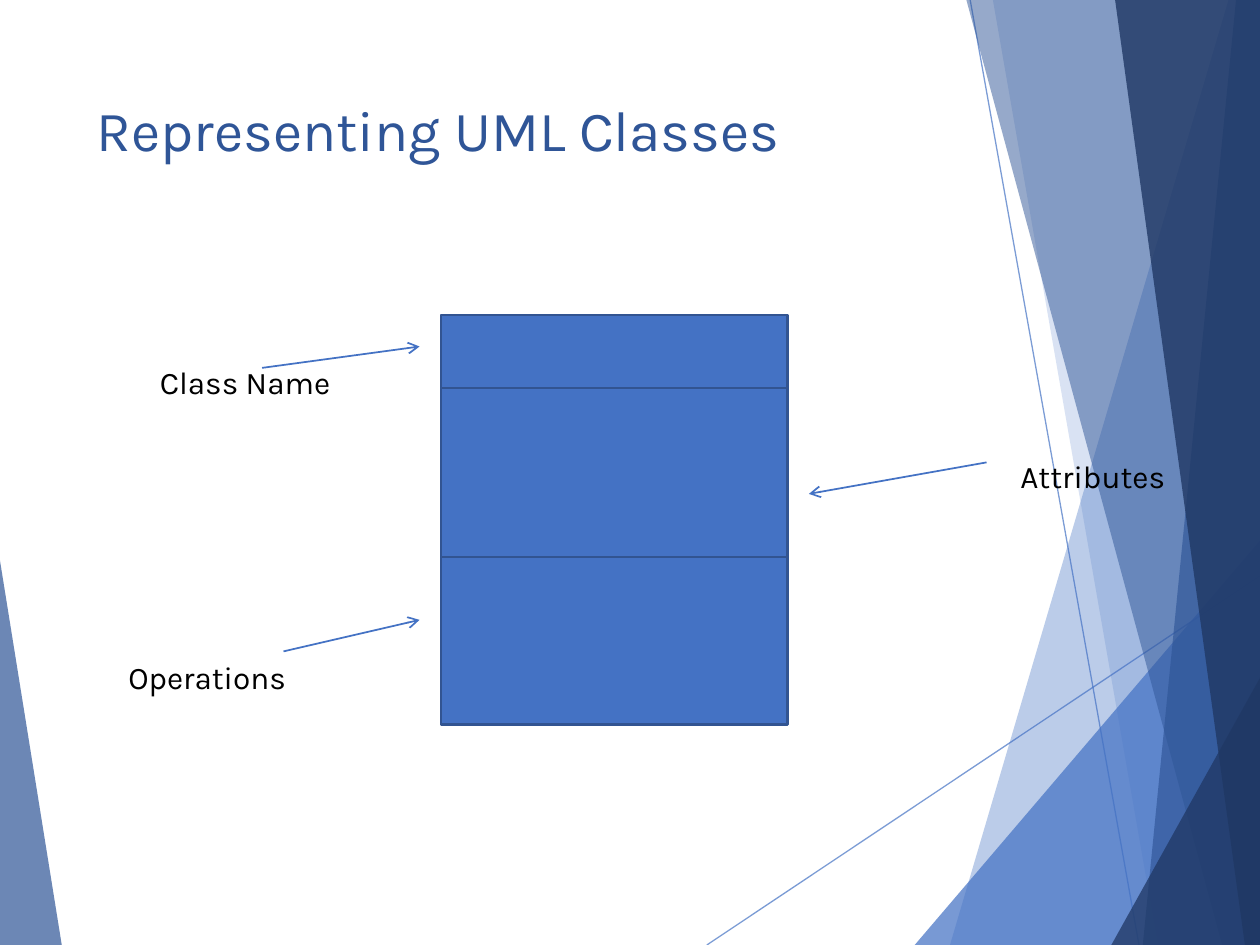
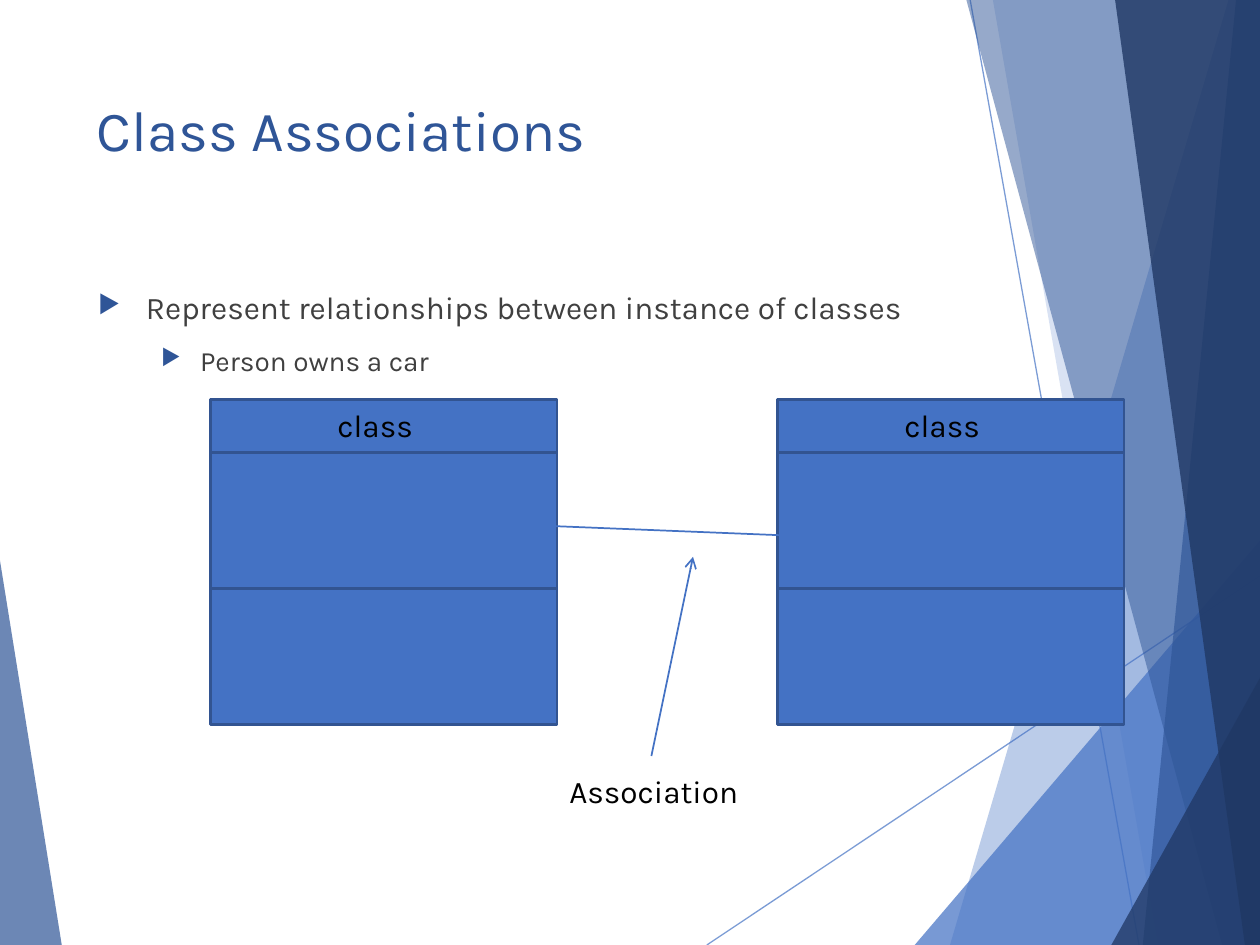
from lxml import etree
from pptx import Presentation
from pptx.dml.color import RGBColor
from pptx.enum.shapes import MSO_CONNECTOR, MSO_SHAPE
from pptx.enum.text import MSO_ANCHOR
from pptx.oxml.ns import qn
from pptx.util import Inches, Pt

STRAIGHT = MSO_CONNECTOR.STRAIGHT
RECTANGLE = MSO_SHAPE.RECTANGLE
TOP = MSO_ANCHOR.TOP

FONT = "Karla"
COLORS = {
    "blue": "4472C4",
    "dark": "2F5597",
    "navy": "203864",
    "outline": "325491",
    "body": "404040",
    "label": "000000",
}
FORMATS = {
    "title": {"size": Pt(32.4), "name": FONT},
    "label": {"size": Pt(18), "name": FONT},
    "bullet": {"size": Pt(18), "name": FONT},
    "subbullet": {"size": Pt(16), "name": FONT},
}
BULLET_INDENTS = [(0.38, -0.38), (0.81, -0.31)]
BAND_LINES = [((5.61, 7.5), (10, 4.57)), ((7.7, 0), (9.04, 7.5))]
BANDS = [
    ("blue", 36, [(9.75, 0), (7.54, 7.5), (10, 7.5), (10, 0)]),
    ("blue", 20, [(7.88, 0), (9.19, 7.5), (10, 7.5), (10, 0)]),
    ("blue", 72, [(7.26, 7.5), (10, 4.29), (10, 7.5)]),
    ("dark", 50, [(7.67, 0), (9.7, 7.5), (10, 7.5), (10, 0)]),
    ("dark", 66, [(9.81, 0), (9.07, 7.5), (10, 7.5), (10, 0)]),
    ("navy", 80, [(8.85, 0), (9.88, 7.5), (10, 7.5), (10, 0)]),
    ("navy", 76, [(8.82, 7.5), (10, 5.38), (10, 7.5)]),
    ("dark", 70, [(0, 4.45), (0.49, 7.5), (0, 7.5)]),
]
CLASS_WIDTH = 2.75


def rgb(color):
    return RGBColor.from_string(COLORS[color])


def set_alpha(sp, percent):
    clr = next(sp._element.spPr.iter(qn("a:srgbClr")))
    etree.SubElement(clr, qn("a:alpha"), val=str(percent * 1000))


def add_line(s, start, end, weight=1, arrow=False):
    points = [Inches(v) for v in (*start, *end)]
    line = s.shapes.add_connector(STRAIGHT, *points)
    line.line.color.rgb = rgb("blue")
    line.line.width = Pt(weight)
    if arrow:
        ln = line._element.spPr.find(qn("a:ln"))
        etree.SubElement(ln, qn("a:tailEnd"), type="arrow")
    etree.SubElement(line._element.spPr, qn("a:effectLst"))
    return line


def add_band(s, color, alpha, points):
    corners = [(Inches(x), Inches(y)) for x, y in points]
    builder = s.shapes.build_freeform(*corners[0])
    builder.add_line_segments(corners[1:])
    sp = builder.convert_to_shape()
    sp.shadow.inherit = False
    sp.fill.solid()
    sp.fill.fore_color.rgb = rgb(color)
    sp.line.fill.background()
    set_alpha(sp, alpha)


def add_text_frame(s, box, wrap=True):
    tf = s.shapes.add_textbox(*[Inches(v) for v in box]).text_frame
    tf.word_wrap = wrap
    tf.vertical_anchor = TOP
    return tf


def write(p, text, style, color):
    r = p.add_run()
    r.text = text
    for name, value in FORMATS[style].items():
        setattr(r.font, name, value)
    r.font.color.rgb = rgb(color)


def add_label(s, text, left, top, width):
    tf = add_text_frame(s, (left, top, width, 0.4), wrap=False)
    write(tf.paragraphs[0], text, "label", "label")


def add_bullets(s, items, box):
    tf = add_text_frame(s, box)
    for i, (level, text) in enumerate(items):
        p = tf.add_paragraph() if i else tf.paragraphs[0]
        p.level = level
        p.space_before = Pt(10 if i else 0)
        margin, indent = BULLET_INDENTS[level]
        pPr = p._p.get_or_add_pPr()
        pPr.set("marL", str(Inches(margin)))
        pPr.set("indent", str(Inches(indent)))
        clr = etree.SubElement(pPr, qn("a:buClr"))
        etree.SubElement(clr, qn("a:srgbClr"), val=COLORS["dark"])
        etree.SubElement(pPr, qn("a:buSzPct"), val="80000")
        etree.SubElement(pPr, qn("a:buChar"), char="▶")
        write(p, text, "subbullet" if level else "bullet", "body")


def add_class(s, left, top, heights):
    for height in heights:
        box = [Inches(v) for v in (left, top, CLASS_WIDTH, height)]
        sp = s.shapes.add_shape(RECTANGLE, *box)
        sp.shadow.inherit = False
        sp.fill.solid()
        sp.fill.fore_color.rgb = rgb("blue")
        sp.line.color.rgb = rgb("outline")
        sp.line.width = Pt(1.5)
        top += height


def add_slide(prs, title):
    s = prs.slides.add_slide(prs.slide_layouts[6])
    for start, end in BAND_LINES:
        set_alpha(add_line(s, start, end, weight=0.75), 70)
    for band in BANDS:
        add_band(s, *band)
    tf = add_text_frame(s, (0.67, 0.67, 6.94, 1.44))
    tf.margin_top = Inches(0.08)
    write(tf.paragraphs[0], title, "title", "dark")
    return s


def add_class_parts(prs):
    s = add_slide(prs, "Representing UML Classes")
    add_class(s, 3.5, 2.5, [0.58, 1.34, 1.33])
    for text, left, top, width, start, end in [
        ("Class Name", 1.17, 2.83, 1.63, (2.08, 2.92), (3.33, 2.75)),
        ("Attributes", 8, 3.58, 1.42, (7.83, 3.67), (6.42, 3.92)),
        ("Operations", 0.92, 5.17, 1.55, (2.25, 5.17), (3.33, 4.92)),
    ]:
        add_label(s, text, left, top, width)
        add_line(s, start, end, arrow=True)


def add_associations(prs):
    s = add_slide(prs, "Class Associations")
    add_bullets(s, [
        (0, "Represent relationships between instance of classes"),
        (1, "Person owns a car"),
    ], (0.68, 2.24, 6.94, 4.24))
    for left in (1.67, 6.17):
        add_class(s, left, 3.17, [0.42, 1.08, 1.08])
        add_label(s, "class", left + 0.91, 3.17, 0.8)
    add_label(s, "Association", 4.42, 6.08, 1.61)
    add_line(s, (4.25, 4.17), (6.25, 4.25))
    add_line(s, (5.17, 6), (5.5, 4.42), arrow=True)


def main():
    prs = Presentation()
    prs.slide_width, prs.slide_height = Inches(10), Inches(7.5)
    add_class_parts(prs)
    add_associations(prs)
    prs.save("out.pptx")


if __name__ == "__main__":
    main()
